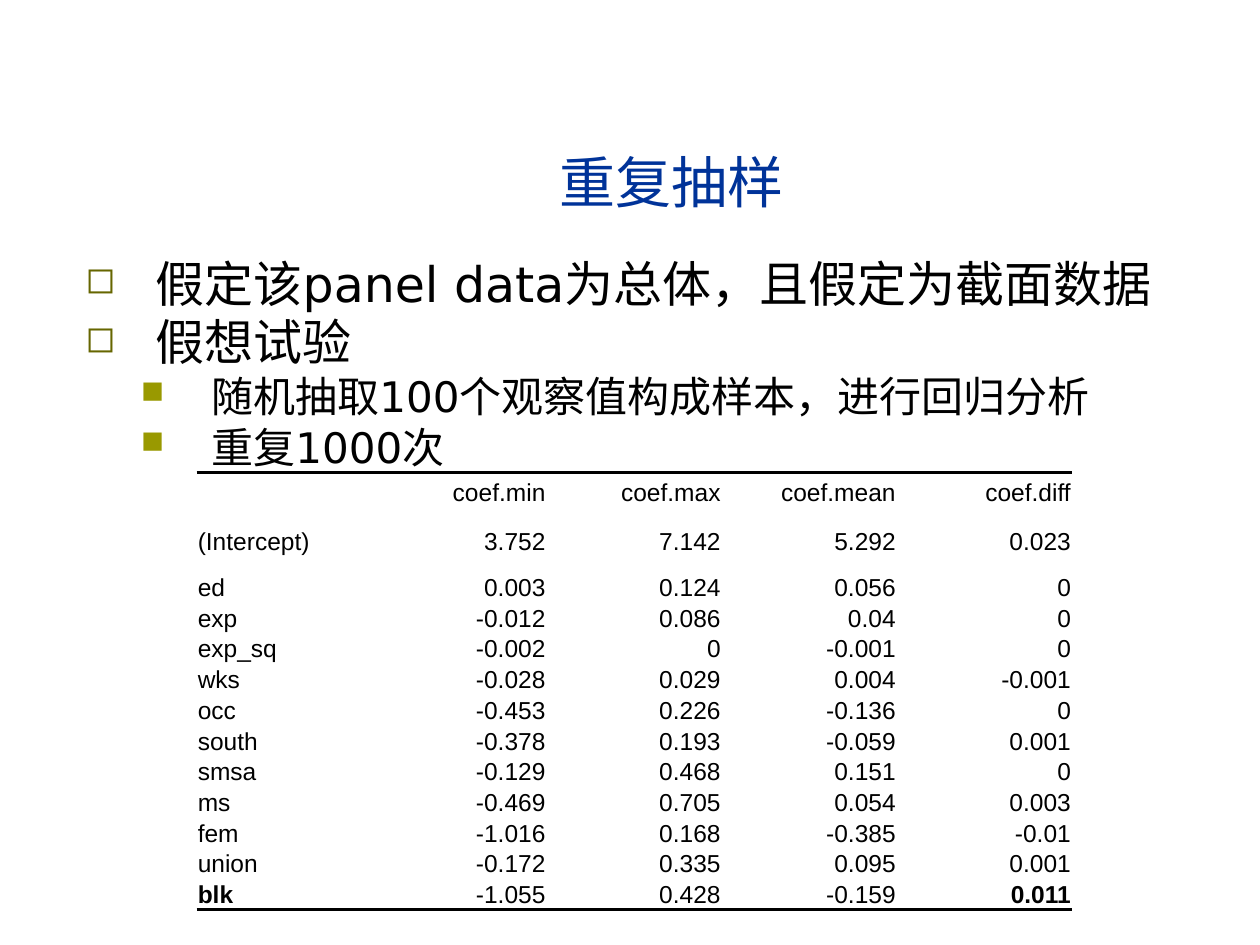
import pptx
import pptx.dml.color
import pptx.enum.text
import pptx.oxml
import pptx.oxml.ns
import pptx.util
from lxml import etree

Inches, Pt = pptx.util.Inches, pptx.util.Pt
ALIGN, ANCHOR = pptx.enum.text.PP_ALIGN, pptx.enum.text.MSO_ANCHOR
qn = pptx.oxml.ns.qn

BULLETS = [
    (0, "假定该panel data为总体，且假定为截面数据"),
    (0, "假想试验"),
    (1, "随机抽取100个观察值构成样本，进行回归分析"),
    (1, "重复1000次"),
]
# level: (left margin, font size, bullet character, bullet colour)
LEVELS = {0: (0.56, 28, "◻", "666600"), 1: (1, 24, "■", "999900")}

COEFFICIENTS = [
    ("", "coef.min", "coef.max", "coef.mean", "coef.diff"),
    ("(Intercept)", "3.752", "7.142", "5.292", "0.023"),
    ("ed", "0.003", "0.124", "0.056", "0"),
    ("exp", "-0.012", "0.086", "0.04", "0"),
    ("exp_sq", "-0.002", "0", "-0.001", "0"),
    ("wks", "-0.028", "0.029", "0.004", "-0.001"),
    ("occ", "-0.453", "0.226", "-0.136", "0"),
    ("south", "-0.378", "0.193", "-0.059", "0.001"),
    ("smsa", "-0.129", "0.468", "0.151", "0"),
    ("ms", "-0.469", "0.705", "0.054", "0.003"),
    ("fem", "-1.016", "0.168", "-0.385", "-0.01"),
    ("union", "-0.172", "0.335", "0.095", "0.001"),
    ("blk", "-1.055", "0.428", "-0.159", "0.011"),
]
BOLD = {"blk", "0.011"}


def rgb(value):
    return pptx.dml.color.RGBColor.from_string(value)


def set_font(p, name, size, color):
    p.font.name, p.font.size = name, Pt(size)
    p.font.color.rgb = rgb(color)


def add_text_frame(slide, box):
    tf = slide.shapes.add_textbox(*map(Inches, box)).text_frame
    tf.word_wrap = True
    return tf


def set_bullet(p, char, color, margin, hang=0.56):
    pPr = p._p.get_or_add_pPr()
    pPr.set("marL", str(Inches(margin)))
    pPr.set("indent", str(-Inches(hang)))
    parts = [
        etree.Element(qn("a:buClr")),
        etree.Element(qn("a:buSzPct"), val="75000"),
        etree.Element(qn("a:buChar"), char=char),
    ]
    etree.SubElement(parts[0], qn("a:srgbClr"), val=color)
    for i, part in enumerate(parts):
        pPr.insert(i, part)


def set_border(cell, side, color=None, width=2):
    """Draw one side of a cell (L, R, T or B), or hide it without a colour."""
    tcPr = cell._tc.get_or_add_tcPr()
    ln = etree.SubElement(tcPr, qn(f"a:ln{side}"), w=str(Pt(width)))
    if color:
        fill = etree.SubElement(ln, qn("a:solidFill"))
        etree.SubElement(fill, qn("a:srgbClr"), val=color)
    else:
        etree.SubElement(ln, qn("a:noFill"))


def add_title(slide, box, text):
    tf = add_text_frame(slide, box)
    tf.vertical_anchor = ANCHOR.BOTTOM
    p = tf.paragraphs[0]
    p.text, p.alignment = text, ALIGN.CENTER
    set_font(p, "Arial", 32, "003399")


def add_bullets(slide, box, items):
    tf = add_text_frame(slide, box)
    for i, (level, text) in enumerate(items):
        p = tf.add_paragraph() if i else tf.paragraphs[0]
        margin, size, char, color = LEVELS[level]
        p.text, p.level = text, level
        set_font(p, "DejaVu Sans", size, "000000")
        set_bullet(p, char, color, margin)


def fill_cell(cell, text, align):
    cell.margin_left = cell.margin_right = cell.margin_top = Inches(0.01)
    cell.margin_bottom = 0
    cell.vertical_anchor = ANCHOR.MIDDLE
    if text:
        p = cell.text_frame.paragraphs[0]
        p.text, p.alignment = text, align
        set_font(p, "Arial", 14, "000000")
        p.font.bold = text in BOLD


def add_coefficient_table(slide, box, rows):
    """Rows share the height evenly, but the intercept row counts double."""
    n_rows, n_cols = len(rows), len(rows[0])
    left, top, width, height = map(Inches, box)
    table = slide.shapes.add_table(n_rows, n_cols, left, top, width, height).table
    table.first_row = table.horz_banding = False
    for col in table.columns:
        col.width = width // n_cols
    for r, values in enumerate(rows):
        table.rows[r].height = height * (2 if r == 1 else 1) // (n_rows + 1)
        for c, text in enumerate(values):
            cell = table.cell(r, c)
            fill_cell(cell, text, ALIGN.RIGHT if c else ALIGN.LEFT)
            ruled = {"T": r == 0, "B": r == n_rows - 1}
            for side in "LRTB":
                set_border(cell, side, "000000" if ruled.get(side) else None)
            cell.fill.solid()
            cell.fill.fore_color.rgb = rgb("FFFFFF")


def main():
    prs = pptx.Presentation()
    prs.slide_width, prs.slide_height = Inches(10), Inches(7.5)
    slide = prs.slides.add_slide(prs.slide_layouts[6])
    add_title(slide, (0.83, 1.17, 9, 0.58), "重复抽样")
    add_bullets(slide, (0.58, 1.96, 9, 4.95), BULLETS)
    add_coefficient_table(slide, (1.56, 3.75, 6.95, 3.36), COEFFICIENTS)
    prs.save("out.pptx")


if __name__ == "__main__":
    main()
